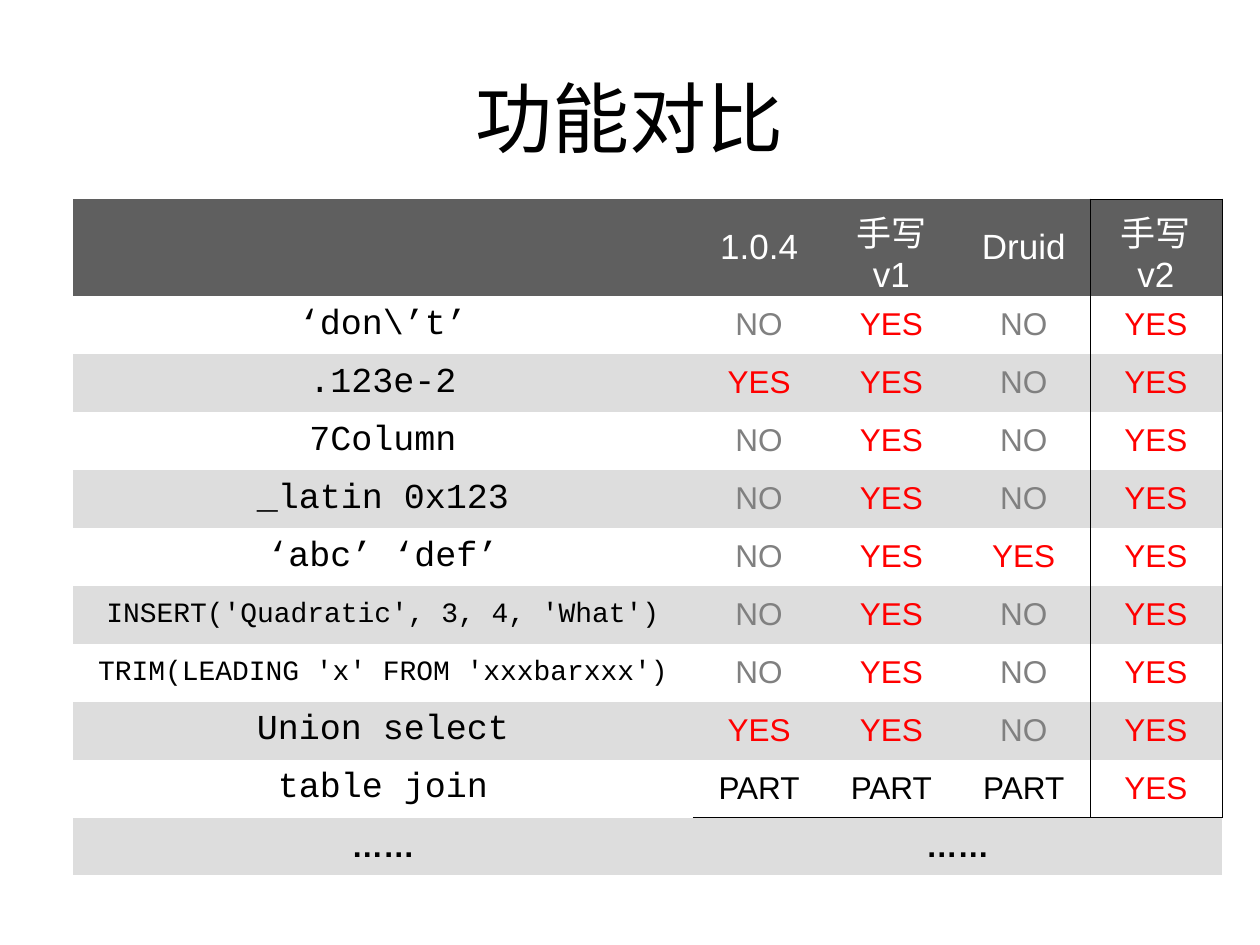
from typing import NamedTuple

from lxml import etree
from pptx import Presentation
from pptx.dml.color import RGBColor
from pptx.enum import text
from pptx.oxml import ns
from pptx.util import Inches, Pt

BLACK, WHITE, RED, GRAY = "000000", "FFFFFF", "FF0000", "808080"
HEADER_FILL, BAND_FILL = "5F5F5F", "DDDDDD"
SANS, MONO = "Arial", "Courier New"
NO_STYLE = "{2D5ABB26-0587-4C30-8999-92F81FD0307C}"
VERDICT_COLORS = {"YES": RED, "NO": GRAY, "PART": BLACK}


class Feature(NamedTuple):
    sample: str
    verdicts: str
    size: int = 20


HEADERS = ["1.0.4", "手写v1", "Druid", "手写v2"]
FEATURES = [
    Feature("‘don\\’t’", "NO YES NO YES"),
    Feature(".123e-2", "YES YES NO YES"),
    Feature("7Column", "NO YES NO YES"),
    Feature("_latin 0x123", "NO YES NO YES"),
    Feature("‘abc’ ‘def’", "NO YES YES YES"),
    Feature("INSERT('Quadratic', 3, 4, 'What')", "NO YES NO YES", 16),
    Feature("TRIM(LEADING 'x' FROM 'xxxbarxxx')", "NO YES NO YES", 16),
    Feature("Union select", "YES YES NO YES"),
    Feature("table join", "PART PART PART YES"),
]
LAST_ROW = len(FEATURES) + 1
LAST_COL = len(HEADERS)


def rgb(color: str) -> RGBColor:
    return RGBColor.from_string(color)


def write(tf, content: str, size: float, color: str = BLACK,
          font: str = SANS, bold: bool = False) -> None:
    p = tf.paragraphs[0]
    p.alignment = text.PP_ALIGN.CENTER
    r = p.add_run()
    r.text = content
    r.font.size = Pt(size)
    r.font.name = font
    r.font.bold = bold
    r.font.color.rgb = rgb(color)


def add_borders(cell, sides: str) -> None:
    """Draw thin black lines on the given sides, named in the order L, R, T, B."""
    tc_pr = cell._tc.get_or_add_tcPr()
    for side in sides:
        ln = etree.SubElement(tc_pr, ns.qn(f"a:ln{side}"), w=str(Pt(0.45)))
        fill = etree.SubElement(ln, ns.qn("a:solidFill"))
        etree.SubElement(fill, ns.qn("a:srgbClr"), val=BLACK)


def border_sides(row: int, col: int) -> str:
    """Frame the last column from the header down to the last feature."""
    if row == LAST_ROW:
        return "T" if col == 1 else ""
    if col == LAST_COL - 1:
        return "R"
    if col == LAST_COL:
        return "LR" + {0: "T", LAST_ROW - 1: "B"}.get(row, "")
    return ""


def format_cells(table) -> None:
    for row in range(LAST_ROW + 1):
        for col in range(LAST_COL + 1):
            cell = table.cell(row, col)
            cell.vertical_anchor = text.MSO_ANCHOR.MIDDLE
            add_borders(cell, border_sides(row, col))
            if row and row % 2:
                cell.fill.background()
            else:
                cell.fill.solid()
                cell.fill.fore_color.rgb = rgb(BAND_FILL if row else HEADER_FILL)


def add_comparison(s) -> None:
    frame = s.shapes.add_table(LAST_ROW + 1, LAST_COL + 1, Inches(0.58),
                               Inches(1.58), Inches(9.12), Inches(5.37))
    table = frame.table
    table.first_row = table.horz_banding = False
    table._tbl.tblPr.find(ns.qn("a:tableStyleId")).text = NO_STYLE
    for i, column in enumerate(table.columns):
        column.width = Inches(1.05 if i else 4.92)
    for i, row in enumerate(table.rows):
        row.height = Inches(0.46 if i else 0.77)

    format_cells(table)
    for col, header in enumerate(HEADERS, 1):
        write(table.cell(0, col).text_frame, header, 20, WHITE)
    for row, feature in enumerate(FEATURES, 1):
        write(table.cell(row, 0).text_frame, feature.sample, feature.size, font=MONO)
        for col, verdict in enumerate(feature.verdicts.split(), 1):
            write(table.cell(row, col).text_frame, verdict, 18, VERDICT_COLORS[verdict])

    table.cell(LAST_ROW, 1).merge(table.cell(LAST_ROW, LAST_COL))
    for col in (0, 1):
        write(table.cell(LAST_ROW, col).text_frame, "……", 18, bold=True)


def add_title(s) -> None:
    sp = s.shapes.add_textbox(Inches(0.5), Inches(0.3), Inches(9), Inches(1.25))
    tf = sp.text_frame
    tf.word_wrap = True
    tf.vertical_anchor = text.MSO_ANCHOR.MIDDLE
    write(tf, "功能对比", 44)


def main() -> None:
    prs = Presentation()
    prs.slide_width, prs.slide_height = Inches(10), Inches(7.5)
    s = prs.slides.add_slide(prs.slide_layouts[6])
    add_title(s)
    add_comparison(s)
    prs.save("out.pptx")


if __name__ == "__main__":
    main()
